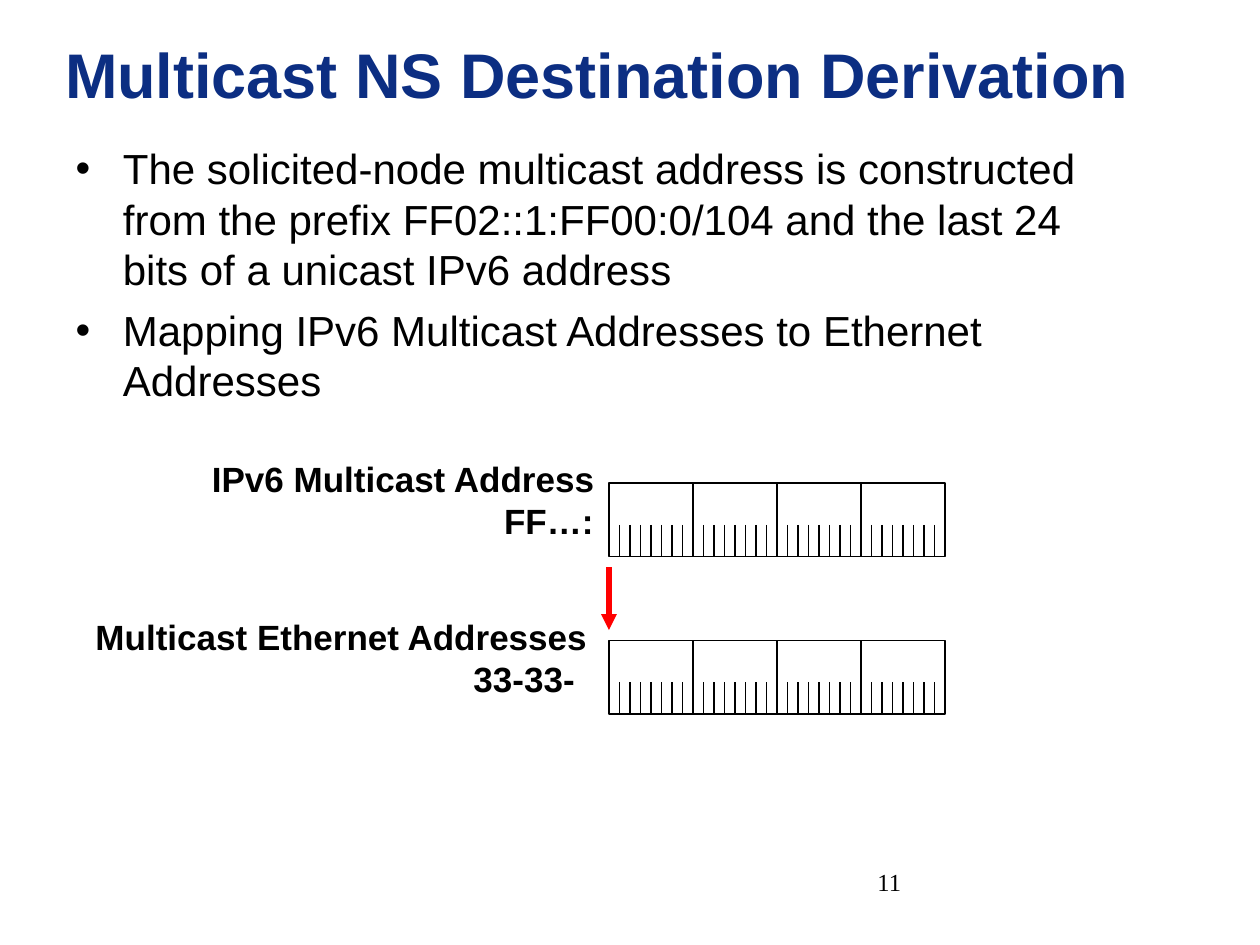
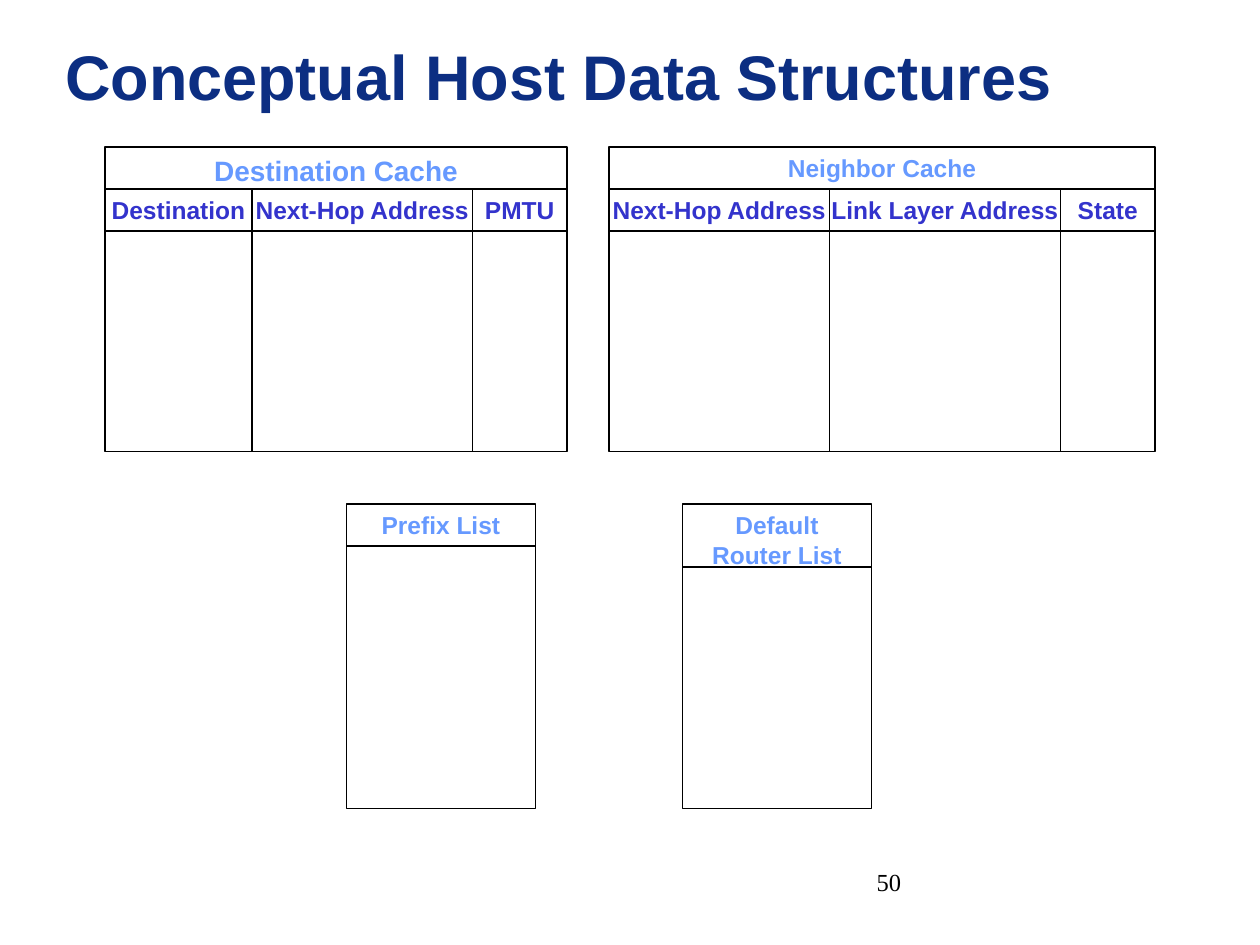
"""Build two slides on IPv6 neighbor discovery: address mapping and host data structures."""
from dataclasses import dataclass

from lxml import etree
from pptx import Presentation
from pptx.dml.color import RGBColor
from pptx.enum import shapes, text
from pptx.oxml import ns
from pptx.util import Pt


@dataclass(frozen=True)
class Theme:
    """Colours, fonts and type sizes."""
    title_color: str = "0C2E82"
    caption_color: str = "6699FF"
    heading_color: str = "3333CC"
    ink: str = "000000"
    paper: str = "FFFFFF"
    accent: str = "FF0000"
    sans: str = "Arial"
    serif: str = "Times New Roman"
    title_size: int = 36
    body_size: int = 24
    label_size: int = 20
    caption_size: int = 16
    small_size: int = 14
    thin: float = 0.75
    thick: float = 3


class Deck:
    """Hold the theme and the current slide, and add elements to it."""

    def __init__(self, theme):
        """Open an empty 10 by 7.5 inch presentation."""
        self.theme = theme
        self.presentation = Presentation()
        self.presentation.slide_width = Pt(720)
        self.presentation.slide_height = Pt(540)

    def new_slide(self, layout, title, number, width, height):
        """Start a slide with its title and page number."""
        self.slide = self.presentation.slides.add_slide(
            self.presentation.slide_layouts[layout])
        self.target = self.slide.shapes
        shape = self.slide.shapes.title
        self.place(shape, 30, 0, width, height)
        frame = shape.text_frame
        frame.auto_size = text.MSO_AUTO_SIZE.NONE
        frame.vertical_anchor = text.MSO_ANCHOR.MIDDLE
        frame.text = title
        self.style(frame, self.theme.title_size, self.theme.title_color,
                   bold=True, align=text.PP_ALIGN.LEFT)
        self.text_box(number, 372, 492, 150, 36, self.theme.small_size,
                      self.theme.ink, align=text.PP_ALIGN.RIGHT,
                      font=self.theme.serif, bold=False, wrap=True)

    def group(self):
        """Send the next elements into a new group."""
        self.target = self.slide.shapes.add_group_shape().shapes

    def ungroup(self):
        """Send the next elements straight to the slide."""
        self.target = self.slide.shapes

    def place(self, shape, left, top, width, height):
        """Set the position and size of a shape in points."""
        shape.left, shape.top = Pt(left), Pt(top)
        shape.width, shape.height = Pt(width), Pt(height)

    def style(self, frame, size, color, bold=False, align=None, font=None):
        """Format every paragraph and run of a text frame."""
        for paragraph in frame.paragraphs:
            paragraph.alignment = align
            for run in paragraph.runs:
                run.font.name = font or self.theme.sans
                run.font.size = Pt(size)
                run.font.bold = bold
                run.font.color.rgb = RGBColor.from_string(color)

    def bullets(self, items, left, top, width, height):
        """Fill the body placeholder with a bulleted list."""
        shape = self.slide.placeholders[1]
        self.place(shape, left, top, width, height)
        frame = shape.text_frame
        frame.auto_size = text.MSO_AUTO_SIZE.NONE
        frame.text = "\n".join(items)
        for index, paragraph in enumerate(frame.paragraphs):
            paragraph.space_before = Pt(6 if index else 0)
            properties = paragraph._p.get_or_add_pPr()
            properties.set("marL", str(Pt(27)))
            properties.set("indent", str(Pt(-27)))
        self.style(frame, self.theme.body_size, self.theme.ink)

    def text_box(self, content, left, top, width, height, size, color,
                 align=text.PP_ALIGN.LEFT, font=None, bold=True, wrap=False):
        """Add a text box and return its frame."""
        shape = self.target.add_textbox(Pt(left), Pt(top), Pt(width), Pt(height))
        frame = shape.text_frame
        frame.word_wrap = wrap
        frame.text = content
        self.style(frame, size, color, bold, align, font)
        return frame

    def rectangle(self, left, top, width, height, fill=None):
        """Add a thinly outlined rectangle."""
        shape = self.target.add_shape(shapes.MSO_SHAPE.RECTANGLE,
                                      Pt(left), Pt(top), Pt(width), Pt(height))
        shape.shadow.inherit = False
        if fill:
            shape.fill.solid()
            shape.fill.fore_color.rgb = RGBColor.from_string(fill)
        else:
            shape.fill.background()
        shape.line.color.rgb = RGBColor.from_string(self.theme.ink)
        shape.line.width = Pt(self.theme.thin)
        return shape

    def line(self, start, end, color=None, weight=None, arrow=False):
        """Add a straight line, with an arrowhead at its end on request."""
        connector = self.target.add_connector(
            shapes.MSO_CONNECTOR.STRAIGHT, *(Pt(value) for value in (*start, *end)))
        connector.line.color.rgb = RGBColor.from_string(color or self.theme.ink)
        connector.line.width = Pt(weight or self.theme.thin)
        if arrow:
            outline = connector.line._get_or_add_ln()
            etree.SubElement(outline, ns.qn("a:tailEnd"), type="triangle")
        etree.SubElement(connector._element.spPr, ns.qn("a:effectLst"))
        return connector

    def address(self, top, lines, label_left, label_width, indent):
        """Add a row of four octets with bit marks and a label on its left."""
        self.group()
        octet, bit, height = 48, 6, 42
        for left in range(348, 348 + 4 * octet, octet):
            cell = self.rectangle(left, top, octet, height, self.theme.paper)
            for offset in range(bit, octet, bit):
                mark = self.line((left + offset, top + 24),
                                 (left + offset, top + height))
                if offset == octet / 2:
                    mark.end_connect(cell, 2)
        frame = self.text_box("\n".join(lines), label_left, top - 18, label_width,
                              55, self.theme.label_size, self.theme.ink)
        frame.paragraphs[1]._p.get_or_add_pPr().set("marL", str(Pt(indent)))
        self.ungroup()

    def structure(self, caption, left, top, width, height, caption_height=24,
                  size=None, columns=()):
        """Add a captioned box, divided into headed columns if any are given."""
        self.group()
        body_top, bottom = top + caption_height, top + height
        self.rectangle(left, body_top, width, bottom - body_top)
        frame = self.rectangle(left, top, width, caption_height).text_frame
        frame.word_wrap = True
        frame.vertical_anchor = text.MSO_ANCHOR.TOP
        frame.text = caption
        self.style(frame, size or self.theme.small_size, self.theme.caption_color,
                   bold=True, align=text.PP_ALIGN.CENTER)
        if columns:
            self.line((left, body_top + 24), (left + width, body_top + 24))
        column_left, overhang = left, 10
        for heading, column_width in columns:
            if column_left > left:
                self.line((column_left, body_top), (column_left, bottom))
            self.text_box(heading, column_left - overhang, body_top,
                          column_width + 2 * overhang, 24, self.theme.small_size,
                          self.theme.heading_color, align=text.PP_ALIGN.CENTER)
            column_left += column_width
        self.ungroup()


def main():
    """Build both slides and save them."""
    theme = Theme()
    deck = Deck(theme)

    deck.new_slide(1, "Multicast NS Destination Derivation", "11", 624, 84)
    deck.bullets(
        ["The solicited-node multicast address is constructed from the prefix "
         "FF02::1:FF00:0/104 and the last 24 bits of a unicast IPv6 address",
         "Mapping IPv6 Multicast Addresses to Ethernet Addresses"],
        36, 78, 612, 168)
    deck.address(276, ["IPv6 Multicast Address", "FF…:"], 114, 233, 167)
    deck.address(366, ["Multicast Ethernet Addresses", "33-33-"], 47.5, 318, 216)
    deck.line((348, 324), (348, 360), theme.accent, theme.thick, arrow=True)

    deck.new_slide(5, "Conceptual Host Data Structures", "50", 693, 86)
    deck.structure("Prefix List", 198, 288, 108, 174)
    deck.structure("Default Router List", 390, 288, 108, 174, caption_height=36)
    deck.structure("Destination Cache", 60, 84, 264, 174, size=theme.caption_size,
                   columns=[("Destination", 84), ("Next-Hop Address", 126),
                            ("PMTU", 54)])
    deck.structure("Neighbor Cache", 348, 84, 312, 174,
                   columns=[("Next-Hop Address", 126), ("Link Layer Address", 132),
                            ("State", 54)])

    deck.presentation.save("out.pptx")


if __name__ == "__main__":
    main()
